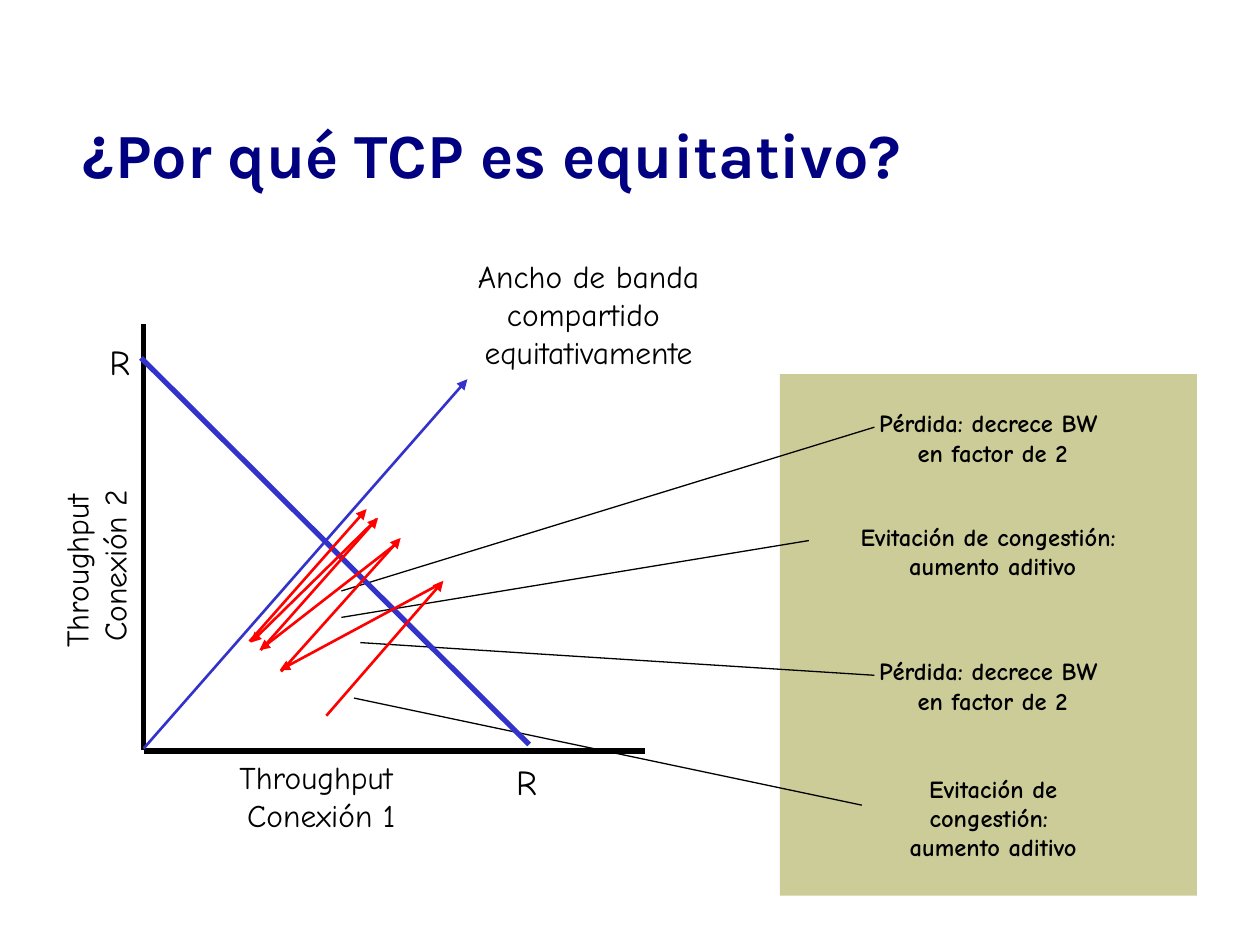
from dataclasses import dataclass

from lxml import etree
from pptx import Presentation
from pptx import util as u
from pptx.dml.color import RGBColor
from pptx.enum import shapes, text
from pptx.oxml.ns import qn


@dataclass(frozen=True)
class Theme:
    title_font: str = "Karla"
    body_font: str = "Comic Neue"
    title_size: float = 35.9
    mark_size: float = 20
    label_size: float = 18
    callout_size: float = 14
    navy: str = "000080"
    blue: str = "3333CC"
    red: str = "FF0000"
    black: str = "000000"
    khaki: str = "CCCC99"
    thick: float = 3
    medium: float = 1.5
    thin: float = 0.75


class Painter:
    """Draws styled elements, placed in points, on the current slide."""

    def __init__(self, slide, theme):
        self.slide = slide
        self.theme = theme

    def panel(self, box, color):
        shape = self.slide.shapes.add_shape(shapes.MSO_SHAPE.RECTANGLE, *map(u.Pt, box))
        shape.shadow.inherit = False
        shape.fill.solid()
        shape.fill.fore_color.rgb = RGBColor.from_string(color)
        shape.line.fill.background()

    def label(self, box, lines, size, *, font=None, color=None, bold=False,
              align=text.PP_ALIGN.CENTER, anchor=text.MSO_ANCHOR.TOP, inset=7.2, rotation=0):
        shape = self.slide.shapes.add_textbox(*map(u.Pt, box))
        shape.rotation = rotation
        frame = shape.text_frame
        frame_format = {
            "word_wrap": True, "vertical_anchor": anchor,
            "margin_left": u.Pt(inset), "margin_right": u.Pt(inset),
            "margin_top": u.Pt(3.6), "margin_bottom": u.Pt(3.6),
        }
        for name, value in frame_format.items():
            setattr(frame, name, value)
        frame.text = "\n".join(lines)
        font_format = {"name": font or self.theme.body_font, "size": u.Pt(size), "bold": bold}
        for paragraph in frame.paragraphs:
            paragraph.alignment = align
            for run in paragraph.runs:
                for name, value in font_format.items():
                    setattr(run.font, name, value)
                run.font.color.rgb = RGBColor.from_string(color or self.theme.black)

    def line(self, start, end, color, width, arrow=False):
        connector = self.slide.shapes.add_connector(
            shapes.MSO_CONNECTOR.STRAIGHT, *map(u.Pt, (*start, *end)))
        connector.line.color.rgb = RGBColor.from_string(color)
        connector.line.width = u.Pt(width)
        properties = connector._element.spPr
        if arrow:
            etree.SubElement(properties.find(qn("a:ln")), qn("a:tailEnd"), type="triangle")
        etree.SubElement(properties, qn("a:effectLst"))

    def callout(self, box, lines, start, end):
        self.line(start, end, self.theme.black, self.theme.thin)
        self.label(box, lines, self.theme.callout_size, bold=True, inset=0)


LOSS = ["Pérdida: decrece BW ", "en factor de 2"]
GROWTH = ["Evitación de congestión: ", "aumento aditivo"]

CALLOUTS = [
    ((501.8, 229.7, 131, 41), LOSS, (195.1, 337.7), (499.7, 244.1)),
    ((465.8, 294.5, 203, 41), GROWTH, (195.1, 352.8), (462.2, 308.9)),
    ((501.8, 371.5, 131, 41), LOSS, (205.9, 367.2), (499.7, 385.9)),
    ((495.4, 438.5, 144.4, 58.3), GROWTH, (202.3, 398.9), (492.5, 460.1)),
]

CONVERGENCE_STEPS = [
    ((186.5, 409), (253.4, 331.9)),
    ((252, 333.4), (159.8, 383)),
    ((160.6, 383.8), (229, 307.4)),
    ((226.1, 311), (148.3, 371.5)),
    ((149, 371.5), (216, 295.9)),
    ((215.3, 296.6), (143.3, 367.2)),
    ((142.6, 366.5), (209.5, 290.9)),
]

LABELS = [
    ((196.6, 143.3, 279.4, 72), ["Ancho de banda", "compartido ", "equitativamente"], 0),
    ((110.2, 429.8, 146.9, 50.4), ["Throughput ", "Conexión 1"], 0),
    ((-7.9, 298.1, 124.6, 50.4), ["Throughput ", "Conexión 2"], 270),
]


def main():
    presentation = Presentation()
    presentation.slide_width, presentation.slide_height = u.Pt(720), u.Pt(540)
    theme = Theme()
    painter = Painter(presentation.slides.add_slide(presentation.slide_layouts[6]), theme)

    painter.panel((445.7, 213.8, 238.3, 298.1), theme.khaki)
    painter.label((40.3, 43.9, 634.3, 87.1), ["¿Por qué TCP es equitativo?"], theme.title_size,
                  font=theme.title_font, color=theme.navy, bold=True,
                  align=text.PP_ALIGN.LEFT, anchor=text.MSO_ANCHOR.MIDDLE)
    for callout in CALLOUTS:
        painter.callout(*callout)

    painter.line((82.1, 429.1), (368.6, 429.1), theme.black, theme.thick)
    painter.line((82.1, 428.4), (82.1, 185), theme.black, theme.thick)
    painter.line((82.1, 427.7), (267.1, 216.7), theme.blue, theme.medium, arrow=True)
    painter.line((80.6, 204.5), (302.4, 425.5), theme.blue, theme.thick)

    for left, top in [(52.6, 190.8), (285.1, 431.3)]:
        painter.label((left, top, 31.7, 31.7), ["R"], theme.mark_size)
    for box, lines, rotation in LABELS:
        painter.label(box, lines, theme.label_size, rotation=rotation)
    for start, end in CONVERGENCE_STEPS:
        painter.line(start, end, theme.red, theme.medium, arrow=True)

    presentation.save("out.pptx")


if __name__ == "__main__":
    main()
